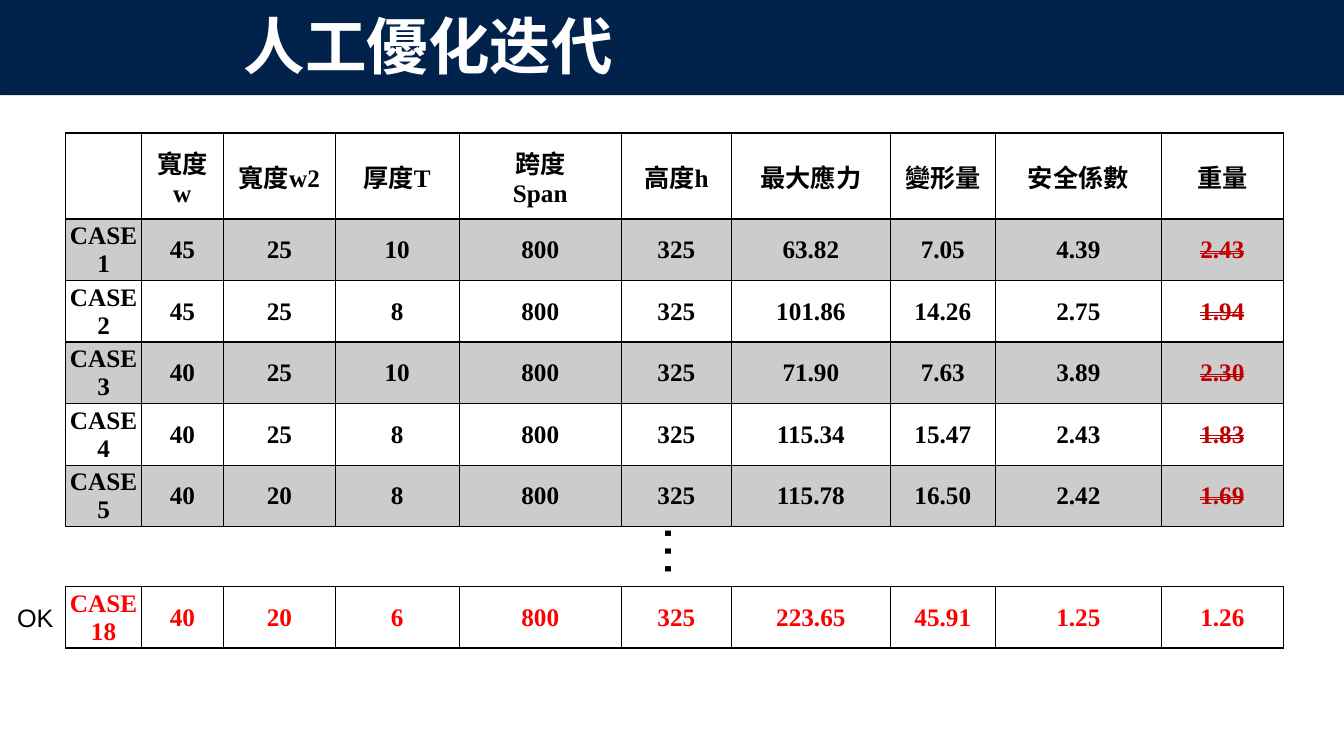
import pptx
import pptx.util
import pptx.dml.color
import pptx.enum.shapes
import pptx.enum.text
import pptx.oxml
from lxml import etree

Cm = pptx.util.Cm
Pt = pptx.util.Pt
PP_ALIGN = pptx.enum.text.PP_ALIGN
MSO_ANCHOR = pptx.enum.text.MSO_ANCHOR
NS = "http://schemas.openxmlformats.org/drawingml/2006/main"

COLUMNS = [1.9, 2.07, 2.82, 3.12, 4.09, 2.77, 4.01, 2.64, 4.19, 3.07]
HEADER = ["", "寬度w", "寬度w2", "厚度T", "跨度\nSpan", "高度h", "最大應力", "變形量", "安全係數", "重量"]
CASES = [
    ["CASE1", "45", "25", "10", "800", "325", "63.82", "7.05", "4.39", "2.43"],
    ["CASE2", "45", "25", "8", "800", "325", "101.86", "14.26", "2.75", "1.94"],
    ["CASE3", "40", "25", "10", "800", "325", "71.90", "7.63", "3.89", "2.30"],
    ["CASE4", "40", "25", "8", "800", "325", "115.34", "15.47", "2.43", "1.83"],
    ["CASE5", "40", "20", "8", "800", "325", "115.78", "16.50", "2.42", "1.69"],
]
FINAL_CASE = ["CASE18", "40", "20", "6", "800", "325", "223.65", "45.91", "1.25", "1.26"]


def rgb(value):
    return pptx.dml.color.RGBColor.from_string(value)


class Deck:
    navy, black, white = "00224B", "000000", "FFFFFF"
    rejected, accepted = "C00000", "FF0000"
    cjk, serif, sans = "Noto Sans CJK SC", "Times New Roman", "Arial"
    row_height, header_height = 1.55, 2.17

    def __init__(self):
        self.prs = pptx.Presentation()
        self.prs.slide_width, self.prs.slide_height = Cm(33.87), Cm(19.05)
        self.s = self.prs.slides.add_slide(self.prs.slide_layouts[6])

    def banner(self, x, y, w, h):
        kind = pptx.enum.shapes.MSO_SHAPE.ROUNDED_RECTANGLE
        sp = self.s.shapes.add_shape(kind, Cm(x), Cm(y), Cm(w), Cm(h))
        sp.shadow.inherit = False
        sp.fill.solid()
        sp.fill.fore_color.rgb = rgb(self.navy)
        sp.line.fill.background()

    def set_text(self, tf, text, size, font, color, bold=False, align=PP_ALIGN.LEFT, strike=False):
        tf.text = text
        for p in tf.paragraphs:
            p.alignment = align
            p.font.size, p.font.name, p.font.bold = Pt(size), font, bold
            p.font.color.rgb = rgb(color)
            style = p._p.pPr.find(f"{{{NS}}}defRPr")
            etree.SubElement(style, f"{{{NS}}}ea").set("typeface", self.cjk)
            if strike:
                style.set("strike", "dblStrike")

    def text(self, x, y, w, h, text, size, font, color, bold=False, wrap=True,
             anchor=MSO_ANCHOR.TOP, align=PP_ALIGN.LEFT, rotation=0):
        sp = self.s.shapes.add_textbox(Cm(x), Cm(y), Cm(w), Cm(h))
        sp.rotation = rotation
        tf = sp.text_frame
        tf.word_wrap = wrap
        tf.vertical_anchor = anchor
        self.set_text(tf, text, size, font, color, bold, align)

    def border(self, cell, thick_bottom):
        for side in "LRTB":
            width = Pt(2 if side == "B" and thick_bottom else 1)
            cell._tc.get_or_add_tcPr().append(pptx.oxml.parse_xml(
                f'<a:ln{side} xmlns:a="{NS}" w="{width}"><a:solidFill>'
                f'<a:srgbClr val="{self.black}"/></a:solidFill></a:ln{side}>'))

    def shade(self, cell, shaded):
        if not shaded:
            cell.fill.background()
            return
        cell.fill.solid()
        cell.fill.fore_color.rgb = rgb(self.black)
        color = cell._tc.tcPr.find(f"{{{NS}}}solidFill/{{{NS}}}srgbClr")
        etree.SubElement(color, f"{{{NS}}}alpha").set("val", "20000")

    def table(self, x, y, rows, color, header=False):
        heights = [self.row_height] * len(rows)
        if header:
            heights[0] = self.header_height
        frame = self.s.shapes.add_table(len(rows), len(COLUMNS), Cm(x), Cm(y),
                                        Cm(sum(COLUMNS)), Cm(sum(heights)))
        table = frame.table
        table.first_row = table.horz_banding = False
        for column, width in zip(table.columns, COLUMNS):
            column.width = Cm(width)
        for i, values in enumerate(rows):
            table.rows[i].height = Cm(heights[i])
            is_header = header and i == 0
            for j, value in enumerate(values):
                cell = table.cell(i, j)
                cell.vertical_anchor = MSO_ANCHOR.MIDDLE
                if not is_header:
                    cell.margin_left = cell.margin_right = cell.margin_top = Cm(0.02)
                    cell.margin_bottom = 0
                strike = header and i > 0 and j == len(COLUMNS) - 1
                self.set_text(cell.text_frame, value, 18, self.serif,
                              self.rejected if strike else color, True, PP_ALIGN.CENTER, strike)
                self.border(cell, i == 0)
                self.shade(cell, i % 2 == 1)


def main():
    deck = Deck()
    deck.banner(-0.36, -0.1, 35.2, 2.5)
    deck.text(5.89, 0.08, 10.44, 2.13, "人工優化迭代", 44, deck.cjk, deck.white, bold=True)
    deck.table(1.66, 3.35, [HEADER] + CASES, deck.black, header=True)
    deck.text(16.26, 13.03, 2.13, 1.96, "…", 40, deck.sans, deck.black,
              anchor=MSO_ANCHOR.MIDDLE, align=PP_ALIGN.JUSTIFY, rotation=90)
    deck.table(1.66, 14.78, [FINAL_CASE], deck.accepted)
    deck.text(0.18, 15.06, 1.47, 1.02, "OK", 18, deck.sans, deck.black, wrap=False)
    deck.prs.save("out.pptx")


if __name__ == "__main__":
    main()
